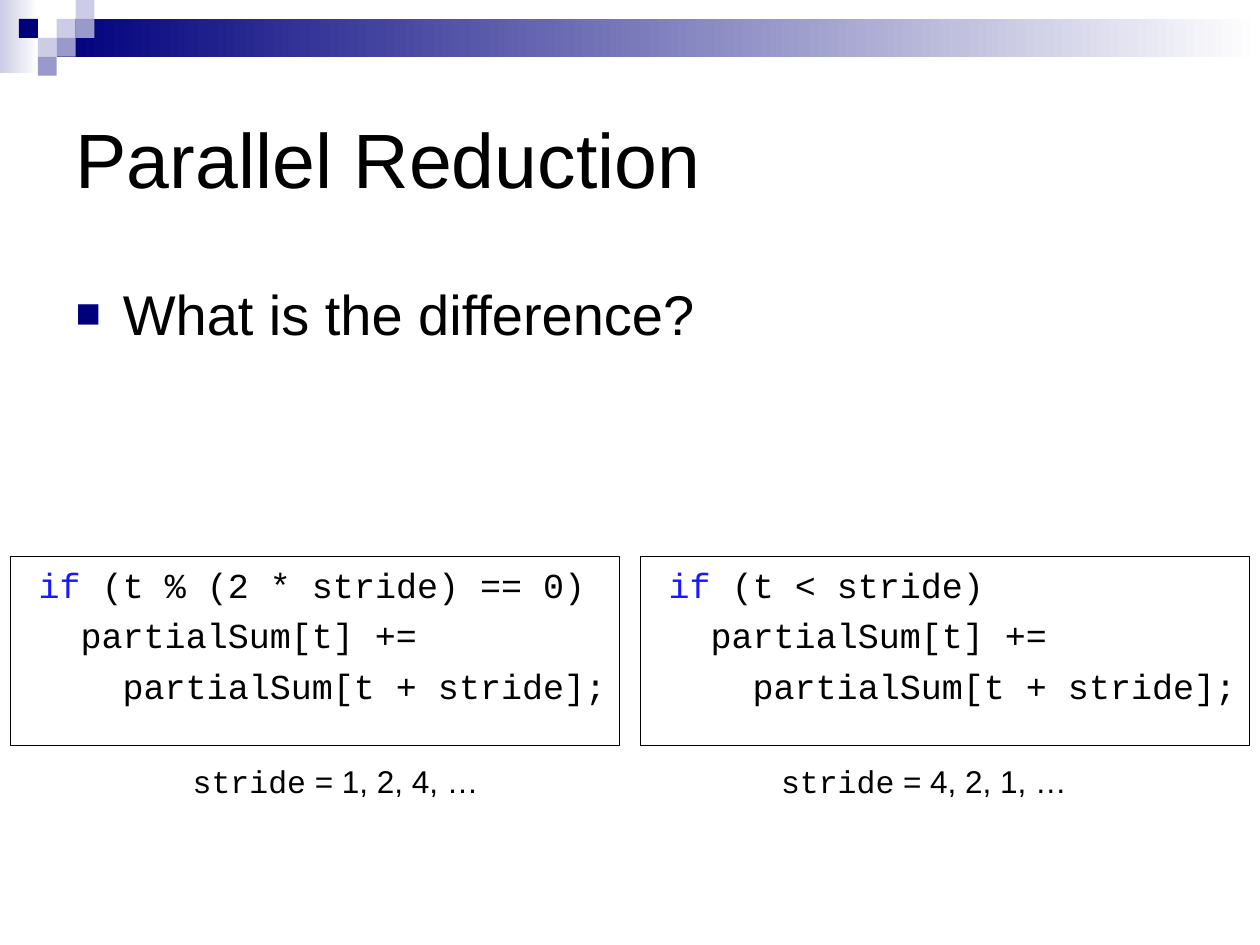
from pptx import Presentation
from pptx.dml.color import RGBColor
from pptx.enum.shapes import MSO_SHAPE
from pptx.enum.text import MSO_ANCHOR, MSO_AUTO_SIZE, PP_ALIGN
from pptx.oxml import parse_xml
from pptx.oxml.ns import nsdecls
from pptx.util import Pt

BLACK = RGBColor(0, 0, 0)
WHITE = RGBColor(255, 255, 255)
NAVY = RGBColor(0x00, 0x00, 0x7D)
LAVENDER = RGBColor(0xCC, 0xCC, 0xE6)
PERIWINKLE = RGBColor(0x99, 0x99, 0xCC)
KEYWORD = RGBColor(0x18, 0x18, 0xFF)

CELL = 10.8
SQUARES = [
    (3, 1, LAVENDER), (4, 0, LAVENDER), (4, 1, PERIWINKLE), (2, 2, LAVENDER),
    (1, 1, NAVY), (3, 2, PERIWINKLE), (2, 3, PERIWINKLE),
]
BODY = {"name": "Arial", "size": Pt(32)}
TITLE = {"name": "Arial", "size": Pt(44)}
CODE = {"name": "Courier New", "size": Pt(20)}
NOTE = {"name": "Arial", "size": Pt(18)}
NOTE_CODE = {"name": "Courier New", "size": Pt(18)}

INDENT = 24
PANEL_LEFT, PANEL_STEP = 6, 360
PANELS = [
    (" (t % (2 * stride) == 0)", " = 1, 2, 4, …", 103),
    (" (t < stride)", " = 4, 2, 1, …", 439.2),
]


def set_attrs(obj, values):
    for name, value in values.items():
        setattr(obj, name, value)


def add_run(p, text, font, color=BLACK):
    r = p.add_run()
    r.text = text
    set_attrs(r.font, font)
    r.font.color.rgb = color


def add_rect(s, x, y, w, h):
    sp = s.shapes.add_shape(MSO_SHAPE.RECTANGLE, Pt(x), Pt(y), Pt(w), Pt(h))
    sp.shadow.inherit = False
    sp.line.fill.background()
    return sp


def add_gradient(s, x, y, w, h, color):
    fill = add_rect(s, x, y, w, h).fill
    fill.gradient()
    fill.gradient_angle = 0
    for stop, rgb, position in zip(fill.gradient_stops, (color, WHITE), (0, 1)):
        stop.color.rgb = rgb
        stop.position = position


def add_banner(s):
    add_gradient(s, 0, 0, 22, 42, LAVENDER)
    add_gradient(s, 3 * CELL, CELL, 720 - 3 * CELL, 2 * CELL, NAVY)
    for col, row, color in SQUARES:
        sp = add_rect(s, col * CELL, row * CELL, CELL, CELL)
        sp.fill.solid()
        sp.fill.fore_color.rgb = color


def fill_placeholder(sp, top, height, text, font, anchor):
    set_attrs(sp, {"left": Pt(36), "top": Pt(top), "width": Pt(648), "height": Pt(height)})
    tf = sp.text_frame
    set_attrs(tf, {"auto_size": MSO_AUTO_SIZE.NONE, "vertical_anchor": anchor})
    p = tf.paragraphs[0]
    p.alignment = PP_ALIGN.LEFT
    add_run(p, text, font)
    return p


def set_indent(p, left, first):
    pPr = p._p.get_or_add_pPr()
    pPr.set("marL", str(Pt(left)))
    pPr.set("indent", str(Pt(first)))
    return pPr


def add_bullet(p):
    p.space_before = Pt(8)
    pPr = set_indent(p, 27, -27)
    for xml in (
        f'<a:buClr {nsdecls("a")}><a:srgbClr val="{NAVY}"/></a:buClr>',
        f'<a:buSzPct {nsdecls("a")} val="75000"/>',
        f'<a:buChar {nsdecls("a")} char="■"/>',
    ):
        pPr.append(parse_xml(xml))


def add_code(s, x, condition):
    sp = add_rect(s, x, 318.2, 348, 108)
    sp.fill.background()
    sp.line.color.rgb = BLACK
    sp.line.width = Pt(0.75)
    tf = sp.text_frame
    set_attrs(tf, {"word_wrap": True, "vertical_anchor": MSO_ANCHOR.TOP, "margin_right": 0})
    lines = [
        [("if", KEYWORD), (condition, BLACK)],
        [("partialSum[t] +=", BLACK)],
        [("partialSum[t + stride];", BLACK)],
    ]
    for level, runs in enumerate(lines):
        p = tf.add_paragraph() if level else tf.paragraphs[0]
        set_attrs(p, {"alignment": PP_ALIGN.LEFT, "space_before": Pt(5)})
        set_indent(p, 9 + level * INDENT, 0)
        for text, color in runs:
            add_run(p, text, CODE, color)


def add_note(s, x, values):
    tf = s.shapes.add_textbox(Pt(x), Pt(432), Pt(178), Pt(29)).text_frame
    tf.word_wrap = False
    p = tf.paragraphs[0]
    add_run(p, "stride", NOTE_CODE)
    add_run(p, values, NOTE)


def main():
    prs = Presentation()
    set_attrs(prs, {"slide_width": Pt(720), "slide_height": Pt(540)})
    s = prs.slides.add_slide(prs.slide_layouts[1])
    add_banner(s)
    fill_placeholder(s.shapes.title, 36, 108, "Parallel Reduction", TITLE, MSO_ANCHOR.MIDDLE)
    add_bullet(fill_placeholder(
        s.placeholders[1], 156, 84, "What is the difference?", BODY, MSO_ANCHOR.TOP))
    for i, (condition, values, note_left) in enumerate(PANELS):
        add_code(s, PANEL_LEFT + i * PANEL_STEP, condition)
        add_note(s, note_left, values)
    prs.save("out.pptx")


if __name__ == "__main__":
    main()
